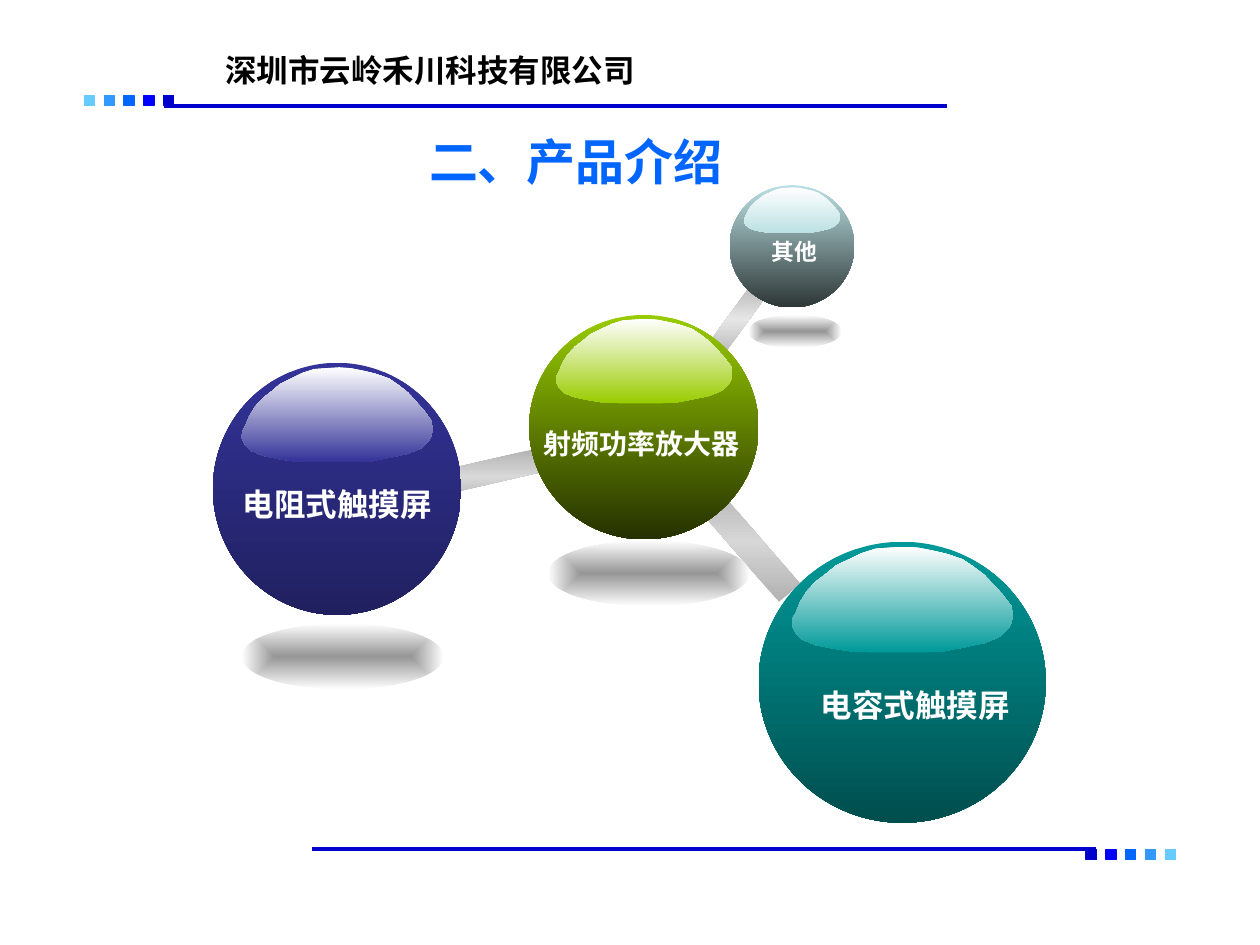
from collections import namedtuple

from lxml.etree import SubElement
from pptx import Presentation
from pptx.dml.color import RGBColor
from pptx.enum.shapes import MSO_CONNECTOR, MSO_SHAPE as Shape
from pptx.enum.text import MSO_ANCHOR as Anchor, MSO_AUTO_SIZE as AutoSize, PP_ALIGN as Align
from pptx.oxml.ns import qn
from pptx.util import Inches, Pt

# The slide is a grid of 100 columns by 75 rows with square cells
WIDTH, HEIGHT = Inches(10), Inches(7.5)
CELL = WIDTH / 100
Box = namedtuple("Box", "left top width height")

WHITE, BLACK = RGBColor(255, 255, 255), RGBColor(0, 0, 0)
NEAR_WHITE = RGBColor(0xFE, 0xFE, 0xFE)
TITLE_BLUE, RULE_BLUE = RGBColor(0, 0x66, 0xFF), RGBColor(0, 0, 0xCC)
BAR_GREY, SHADOW_GREY = RGBColor(0xB2, 0xB2, 0xB2), RGBColor(0x96, 0x96, 0x96)
STRIP_COLORS = (RGBColor(0x66, 0xCC, 0xFF), RGBColor(0x33, 0x99, 0xFF),
                TITLE_BLUE, RGBColor(0, 0, 0xFF), RULE_BLUE)
GREEN, DARK_GREEN = RGBColor(0x99, 0xCC, 0), RGBColor(0x25, 0x31, 0)
MIST, DARK_MIST = RGBColor(0xBB, 0xE0, 0xE3), RGBColor(0x2D, 0x36, 0x36)
TEAL, DARK_TEAL = RGBColor(0, 0x99, 0x99), RGBColor(0, 0x4E, 0x4E)
INDIGO, DARK_INDIGO = RGBColor(0x33, 0x33, 0x99), RGBColor(0x20, 0x20, 0x60)

# Outline of the highlight on a sphere, in percent of its own box
GLOSS = ((99, 56), (100, 62), (100, 68), (98, 77), (94, 85), (87, 91), (78, 95), (68, 99),
         (60, 100), (36, 100), (27, 99), (18, 96), (11, 93), (5, 88), (2, 82), (0, 74),
         (0.5, 68), (2, 62), (4, 52), (7, 42), (11, 33), (16, 25), (20, 18), (26, 12),
         (32, 6), (38, 2), (44, 1), (51, 0), (57, 1), (64, 4), (70, 7), (77, 12),
         (82, 19), (87, 27), (91, 36), (95, 45))


def emu(*cells):
    return [round(value * CELL) for value in cells]


def share(box, left, top, width, height):
    """Part of a box, given as shares of its size."""
    return Box(box.left + left * box.width, box.top + top * box.height,
               width * box.width, height * box.height)


def finish(shape, colors, angle=None):
    """Evenly spaced gradient stops; without an angle they run from the centre."""
    shape.shadow.inherit = False
    shape.line.fill.background()
    shape.fill.gradient()
    gradient = shape.element.spPr.find(qn("a:gradFill"))
    gradient.set("rotWithShape", "1")
    for child in list(gradient):
        gradient.remove(child)
    stops = SubElement(gradient, qn("a:gsLst"))
    for index, color in enumerate(colors):
        position = round(100000 * index / (len(colors) - 1))
        stop = SubElement(stops, qn("a:gs"), pos=str(position))
        SubElement(stop, qn("a:srgbClr"), val=str(color))
    if angle is None:
        center = SubElement(gradient, qn("a:path"), path="rect")
        SubElement(center, qn("a:fillToRect"), dict.fromkeys("ltrb", "50000"))
    else:
        SubElement(gradient, qn("a:lin"), ang=str(angle * 60000), scaled="0")


def write(shape, text, size, color, font="Arial", align=Align.LEFT, wrap=True):
    frame = shape.text_frame
    settings = {"word_wrap": wrap, "auto_size": AutoSize.NONE, "vertical_anchor": Anchor.TOP,
                "margin_left": Inches(0.1), "margin_right": Inches(0.1),
                "margin_top": Inches(0.05), "margin_bottom": Inches(0.05)}
    for name, value in settings.items():
        setattr(frame, name, value)
    paragraph = frame.paragraphs[0]
    paragraph.alignment = align
    run = paragraph.add_run()
    run.text = text
    for name, value in {"name": font, "size": Pt(size), "bold": True}.items():
        setattr(run.font, name, value)
    run.font.color.rgb = color


def add_strip(shapes, start, top, rule_top, direction):
    """Five squares that lead into a long rule, to the right (1) or left (-1)."""
    side, step, length = 0.8, 1.575, 62.2
    for index, color in enumerate(STRIP_COLORS):
        left = start + direction * index * step
        square = shapes.add_shape(Shape.RECTANGLE, *emu(left, top, side, side))
        square.shadow.inherit = False
        square.fill.solid()
        square.fill.fore_color.rgb = square.line.color.rgb = color
        square.line.width = Pt(0.75)
    begin = left if direction > 0 else left + side
    rule = shapes.add_connector(MSO_CONNECTOR.STRAIGHT,
                                *emu(begin, rule_top, begin + direction * length, rule_top))
    rule.line.color.rgb = RULE_BLUE
    rule.line.width = Pt(2.25)
    SubElement(rule.element.spPr, qn("a:effectLst"))


def add_company(shapes, box):
    write(shapes.add_textbox(*emu(*box)), "深圳市云岭禾川科技有限公司", 18, BLACK)


def add_title(shapes, box):
    title = shapes.title
    for name, value in zip(Box._fields, emu(*box)):
        setattr(title, name, value)
    write(title, "二、产品介绍", 28, TITLE_BLUE, align=Align.CENTER)


def add_bar(shapes, box, rotation, middle):
    """Link between spheres, shaded from top to bottom of the page."""
    bar = shapes.add_shape(Shape.RECTANGLE, *emu(*box))
    bar.rotation = rotation
    finish(bar, (BAR_GREY, middle, BAR_GREY), 450 - rotation)


def add_sphere(shapes, box, light, dark, shine, label, label_share, size, font="Arial"):
    group = shapes.add_group_shape().shapes
    finish(group.add_shape(Shape.OVAL, *emu(*box)), (light, dark), 90)
    # Highlight
    gloss = share(box, 0.115, 0.017, 0.772, 0.377)
    points = [emu(gloss.left + x / 100 * gloss.width, gloss.top + y / 100 * gloss.height)
              for x, y in GLOSS]
    builder = group.build_freeform(*points[0])
    builder.add_line_segments(points[1:], close=True)
    finish(builder.convert_to_shape(), (shine, light), 90)
    # Label
    text_box = group.add_textbox(*emu(*share(box, *label_share)))
    write(text_box, label, size, WHITE, font, Align.CENTER, wrap=False)


def add_shadow(shapes, box):
    finish(shapes.add_shape(Shape.OVAL, *emu(*box)), (SHADOW_GREY, NEAR_WHITE))


def main():
    presentation = Presentation()
    presentation.slide_width, presentation.slide_height = WIDTH, HEIGHT
    slide = presentation.slides.add_slide(presentation.slide_layouts[5])
    shapes = slide.shapes

    # Frame and headings
    add_strip(shapes, 6.7, 7.6, 8.4, 1)
    add_strip(shapes, 92.5, 67.4, 67.4, -1)
    add_company(shapes, Box(16.9, 3.6, 37.8, 4))
    add_title(shapes, Box(31.9, 9.9, 27.6, 5.7))

    # Links, then spheres over them
    for box, rotation, middle in (
            (Box(53.8, 41.9, 10.7, 2.2), 229, RGBColor(0xD6, 0xD6, 0xD6)),
            (Box(31.4, 36.9, 11.4, 1.9), 347, RGBColor(0xD8, 0xD8, 0xD8)),
            (Box(55.2, 24.6, 6.7, 1.5), 306, RGBColor(0xE6, 0xE6, 0xE6))):
        add_bar(shapes, box, rotation, middle)
    add_sphere(shapes, Box(42, 25, 18.2, 17.8), GREEN, DARK_GREEN, WHITE,
               "射频功率放大器", (0.01, 0.47, 0.96, 0.21), 16)
    add_sphere(shapes, Box(57.9, 14.7, 9.9, 9.7), MIST, DARK_MIST, WHITE,
               "其他", (-0.03, 0.38, 1.1, 0.33), 13, "DejaVu Sans")
    add_sphere(shapes, Box(60.2, 43, 22.8, 22.3), TEAL, DARK_TEAL, NEAR_WHITE,
               "电容式触摸屏", (0.17, 0.49, 0.75, 0.18), 18)
    add_sphere(shapes, Box(16.9, 28.8, 19.7, 20), INDIGO, DARK_INDIGO, WHITE,
               "电阻式触摸屏", (0.07, 0.46, 0.86, 0.2), 18)

    # Shadows on the floor
    for box in (Box(19.2, 49.5, 16, 5.2), Box(43.5, 42.9, 16, 5.2), Box(59.4, 25, 7.4, 2.6)):
        add_shadow(shapes, box)

    presentation.save("out.pptx")


if __name__ == "__main__":
    main()
